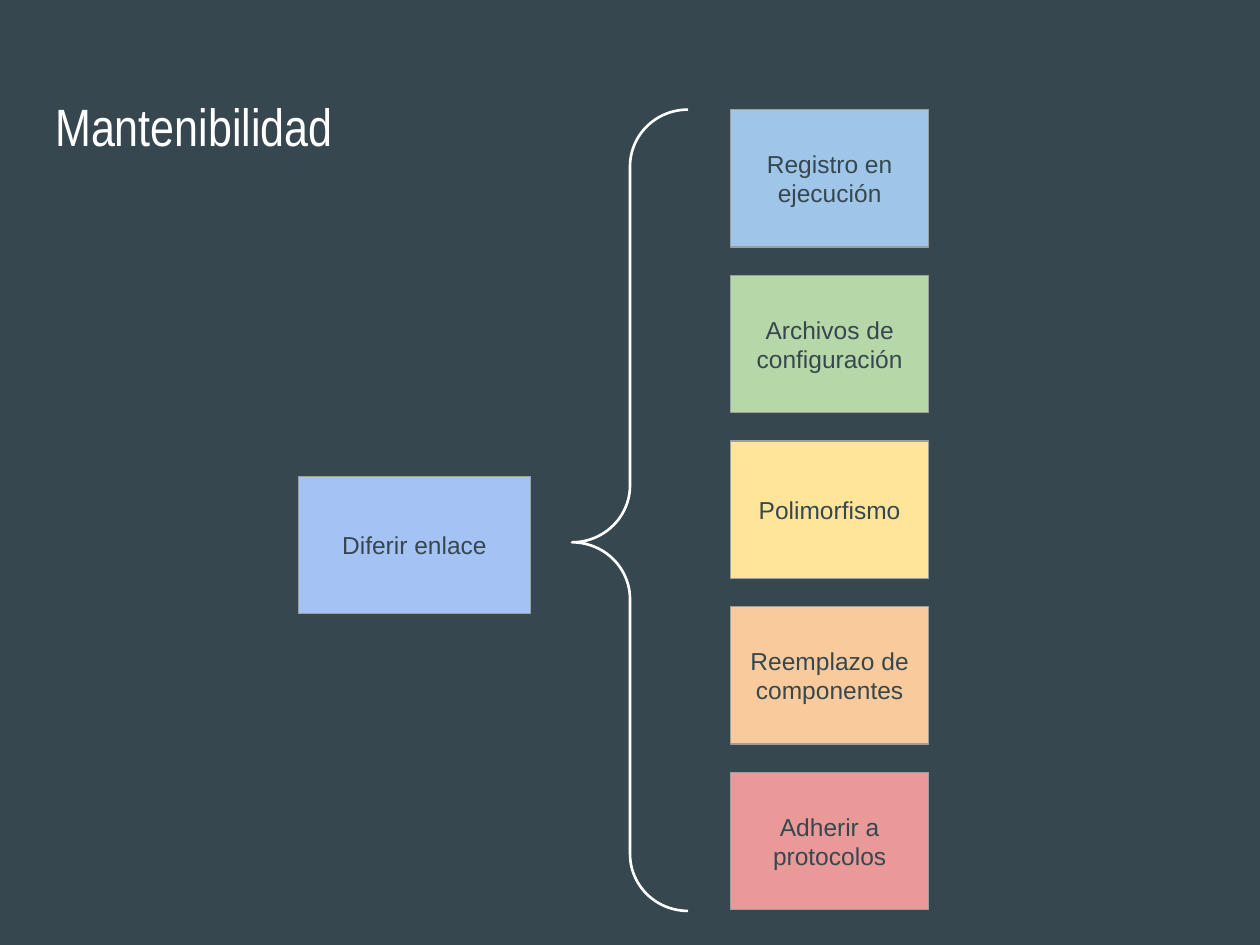
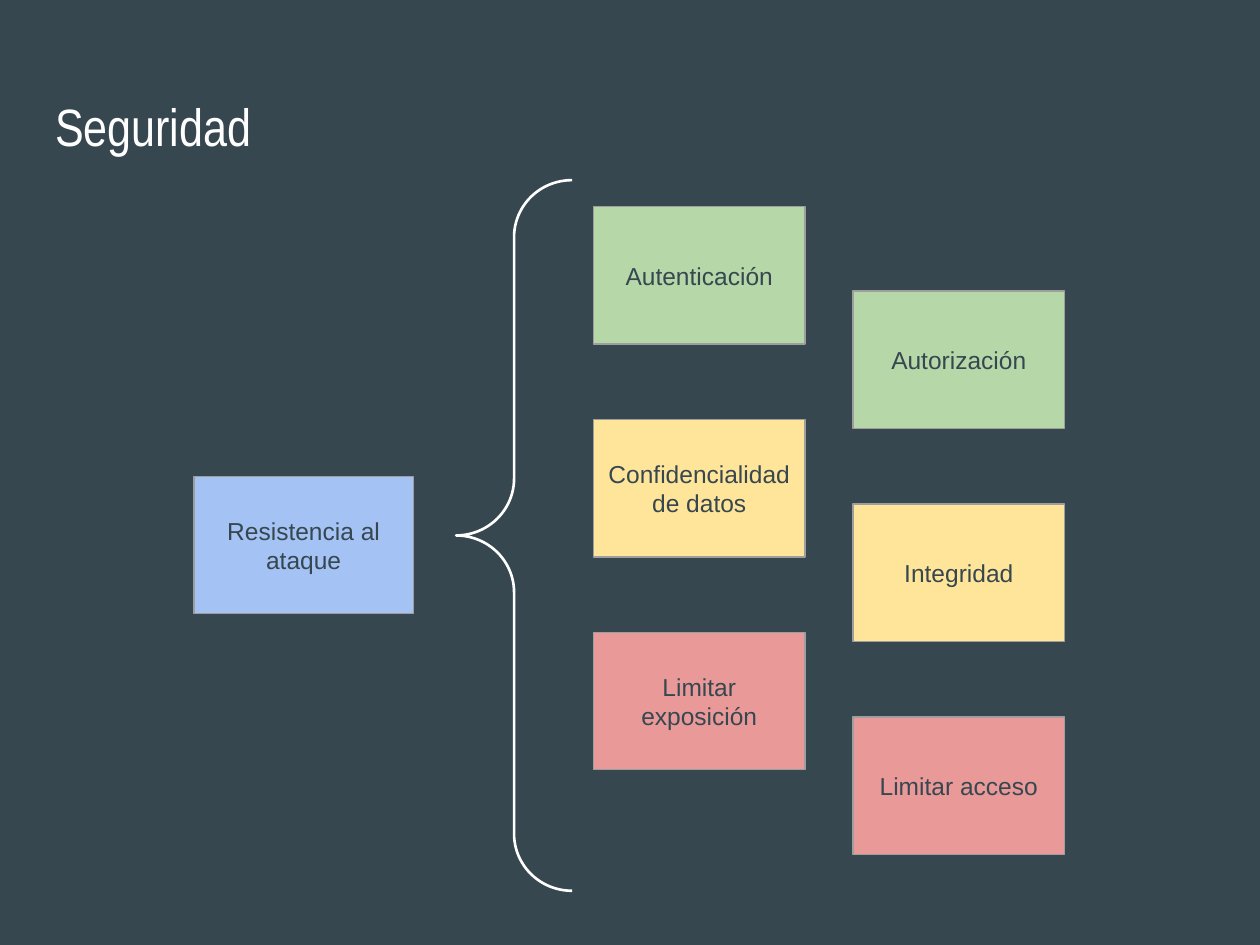
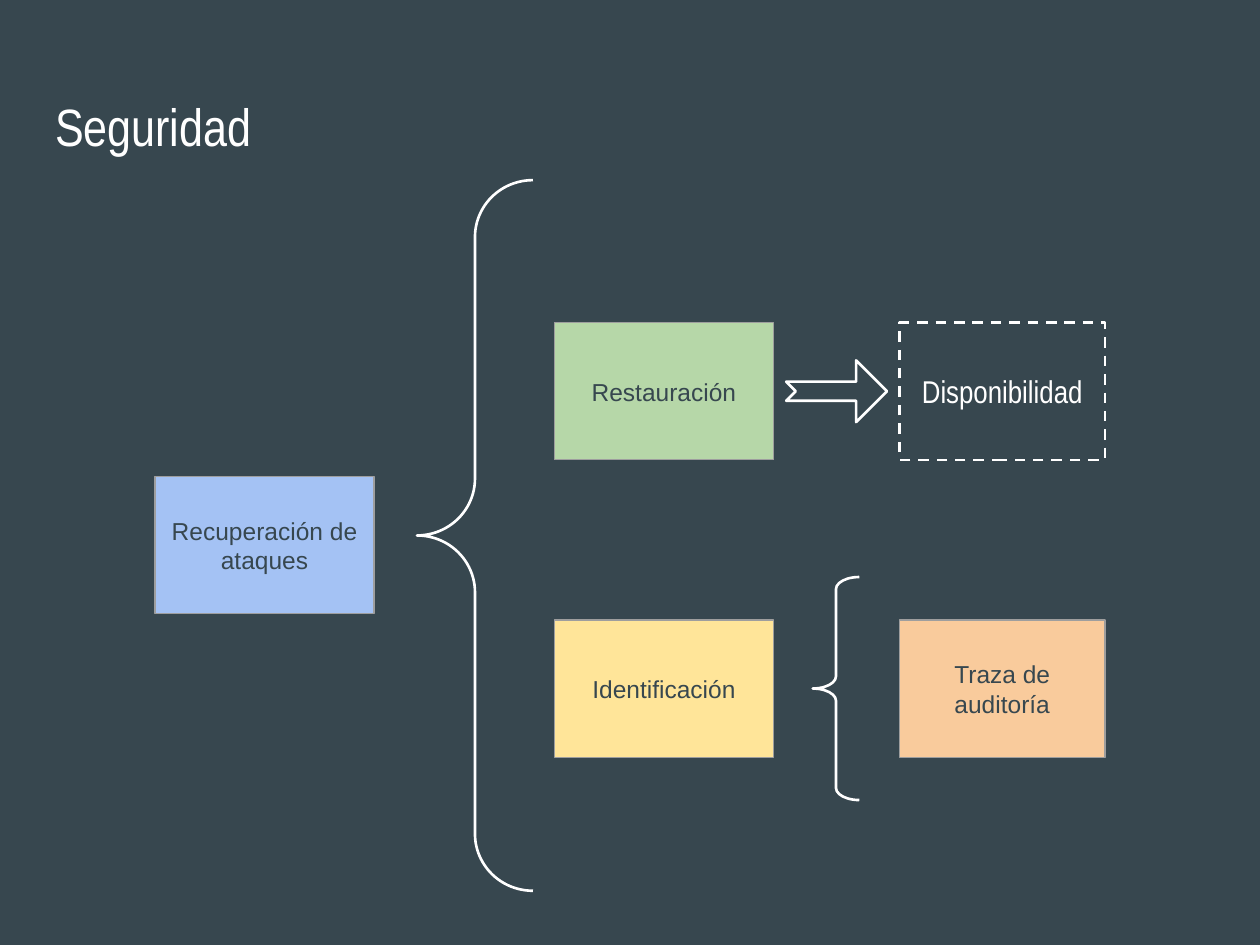
from pptx import Presentation
from pptx.dml.color import RGBColor
from pptx.enum.dml import MSO_LINE_DASH_STYLE as DASH
from pptx.enum.shapes import MSO_SHAPE as SHAPE
from pptx.enum.text import MSO_ANCHOR as ANCHOR, PP_ALIGN as ALIGN
from pptx.util import Inches, Pt

rgb = RGBColor.from_string

SLATE, WHITE, GREY = "37474F", "FFFFFF", "9E9E9E"
INDIGO, BLUE, GREEN = "A4C2F4", "9FC5E8", "B6D7A8"
YELLOW, ORANGE, RED = "FFE599", "F9CB9C", "EA9999"
BODY_FONT, TITLE_FONT = "Arial", "Arial Narrow"

BOX_HEIGHT = 1.09
CAUSE_TOP = 3.78
BRACE_WIDTH = 0.92


def write_text(shape, text, size=14, font=BODY_FONT, color=SLATE,
               align=ALIGN.CENTER, anchor=ANCHOR.MIDDLE):
    frame = shape.text_frame
    frame.word_wrap = True
    frame.vertical_anchor = anchor
    frame.margin_left = frame.margin_right = Inches(0.1)
    frame.margin_top = frame.margin_bottom = Inches(0.1)
    paragraph = frame.paragraphs[0]
    paragraph.alignment = align
    run = paragraph.add_run()
    run.text = text
    run.font.size = Pt(size)
    run.font.name = font
    run.font.color.rgb = rgb(color)


def add_figure(slide, left, top, width, height=BOX_HEIGHT, kind=SHAPE.RECTANGLE,
               fill=None, text=None, adjustments=()):
    """Add a filled grey-edged box, or a white outline when no fill is given."""
    shape = slide.shapes.add_shape(
        kind, Inches(left), Inches(top), Inches(width), Inches(height))
    shape.shadow.inherit = False
    if fill:
        shape.fill.solid()
        shape.fill.fore_color.rgb = rgb(fill)
    else:
        shape.fill.background()
    shape.line.color.rgb = rgb(GREY if fill else WHITE)
    shape.line.width = Pt(0.75 if fill else 1.5)
    for index, value in enumerate(adjustments):
        shape.adjustments[index] = value
    if text:
        write_text(shape, text)
    return shape


presentation = Presentation()
presentation.slide_width = Inches(10)
presentation.slide_height = Inches(7.5)
background = presentation.slide_master.background.fill
background.solid()
background.fore_color.rgb = rgb(SLATE)

# Every slide: title, cause box and the large brace that opens to its tactics
# title, cause, cause left, cause width, brace left, top, height, brace point
frames = [
    ("Mantenibilidad", "Diferir enlace", 2.37, 1.84, 4.54, 0.87, 6.36, 0.54),
    ("Seguridad", "Resistencia al ataque", 1.54, 1.74, 3.62, 1.43, 5.64, 0.5),
    ("Seguridad", "Recuperación de ataques", 1.23, 1.74, 3.31, 1.43, 5.64, 0.5),
]
slides = []
for (title, cause, cause_left, cause_width,
     brace_left, brace_top, brace_height, brace_point) in frames:
    slide = presentation.slides.add_slide(presentation.slide_layouts[6])
    title_box = slide.shapes.add_textbox(
        Inches(0.34), Inches(0.65), Inches(9.32), Inches(0.83))
    write_text(title_box, title, 30, TITLE_FONT, WHITE, ALIGN.LEFT, ANCHOR.TOP)
    add_figure(slide, cause_left, CAUSE_TOP, cause_width, fill=INDIGO, text=cause)
    add_figure(slide, brace_left, brace_top, BRACE_WIDTH, brace_height,
               SHAPE.LEFT_BRACE, adjustments=(0.49, brace_point))
    slides.append(slide)
maintainability, resistance, recovery = slides

# Slide 1: one column of evenly spaced tactics
binding_tactics = [
    ("Registro en ejecución", BLUE),
    ("Archivos de configuración", GREEN),
    ("Polimorfismo", YELLOW),
    ("Reemplazo de componentes", ORANGE),
    ("Adherir a protocolos", RED),
]
first_top, last_top = 0.87, 6.13
pitch = (last_top - first_top) / (len(binding_tactics) - 1)
for row, (text, color) in enumerate(binding_tactics):
    add_figure(maintainability, 5.8, first_top + row * pitch, 1.57,
               fill=color, text=text)

# Slide 2: pairs of tactics, the right one set lower
tactic_pairs = [
    ("Autenticación", "Autorización", GREEN),
    ("Confidencialidad de datos", "Integridad", YELLOW),
    ("Limitar exposición", "Limitar acceso", RED),
]
for row, (left_text, right_text, color) in enumerate(tactic_pairs):
    top = 1.64 + row * 1.69
    add_figure(resistance, 4.71, top, 1.68, fill=color, text=left_text)
    add_figure(resistance, 6.77, top + 0.67, 1.68, fill=color, text=right_text)

# Slide 3: restoration leads to availability, identification to the audit trail
restoration_top, identification_top = 2.56, 4.92
tactic_left, tactic_width = 4.4, 1.74
result_left, result_width = 7.14, 1.63

add_figure(recovery, tactic_left, restoration_top, tactic_width,
           fill=GREEN, text="Restauración")
add_figure(recovery, 6.24, 2.86, 0.8, 0.49, SHAPE.NOTCHED_RIGHT_ARROW,
           adjustments=(0.31, 0.5))
availability = add_figure(recovery, result_left, restoration_top, result_width)
availability.line.dash_style = DASH.DASH
write_text(availability, "Disponibilidad", 18, TITLE_FONT, WHITE)

add_figure(recovery, tactic_left, identification_top, tactic_width,
           fill=YELLOW, text="Identificación")
add_figure(recovery, 6.45, 4.58, 0.37, 1.77, SHAPE.LEFT_BRACE,
           adjustments=(0.26, 0.5))
add_figure(recovery, result_left, identification_top, result_width,
           fill=ORANGE, text="Traza de auditoría")

presentation.save("out.pptx")
